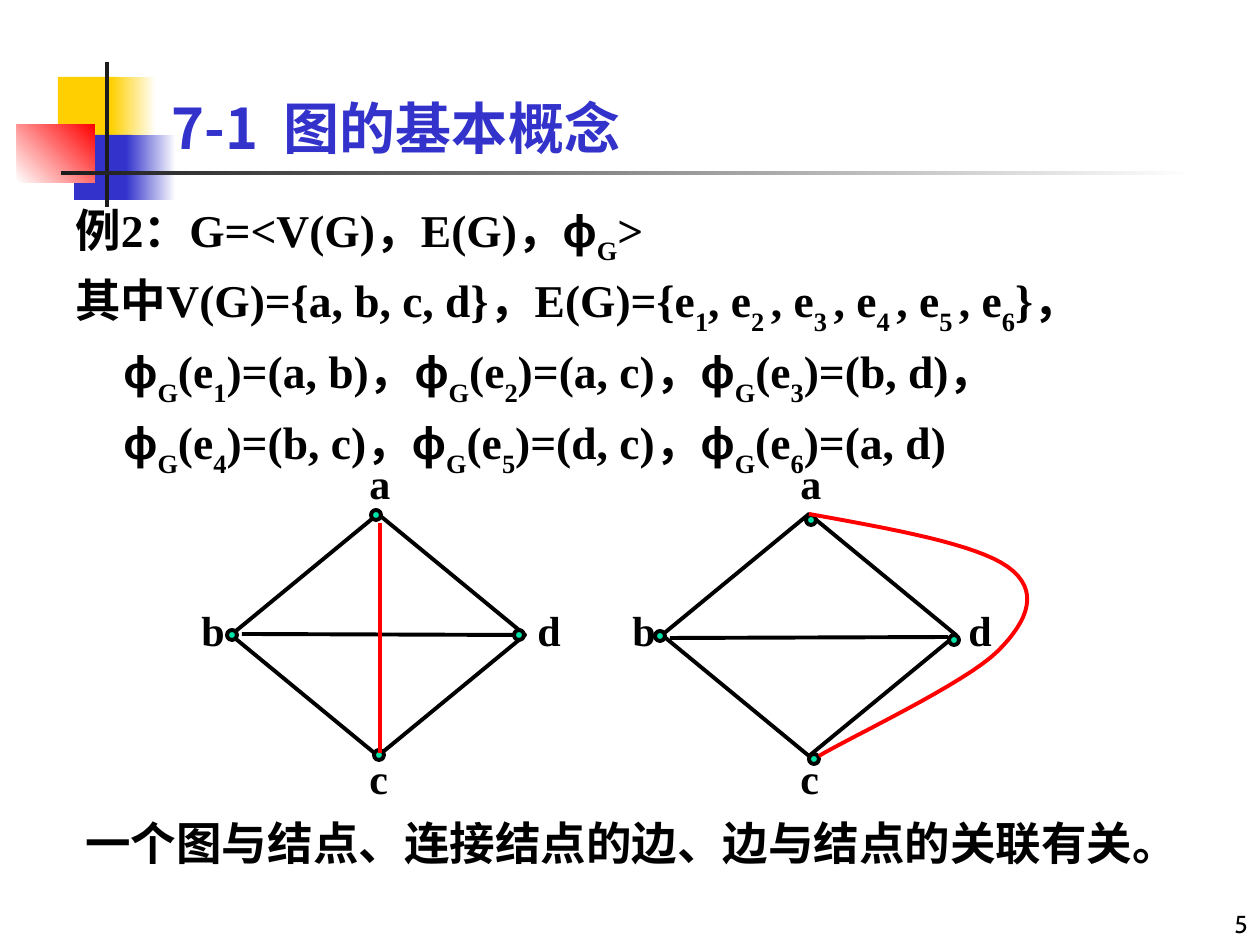
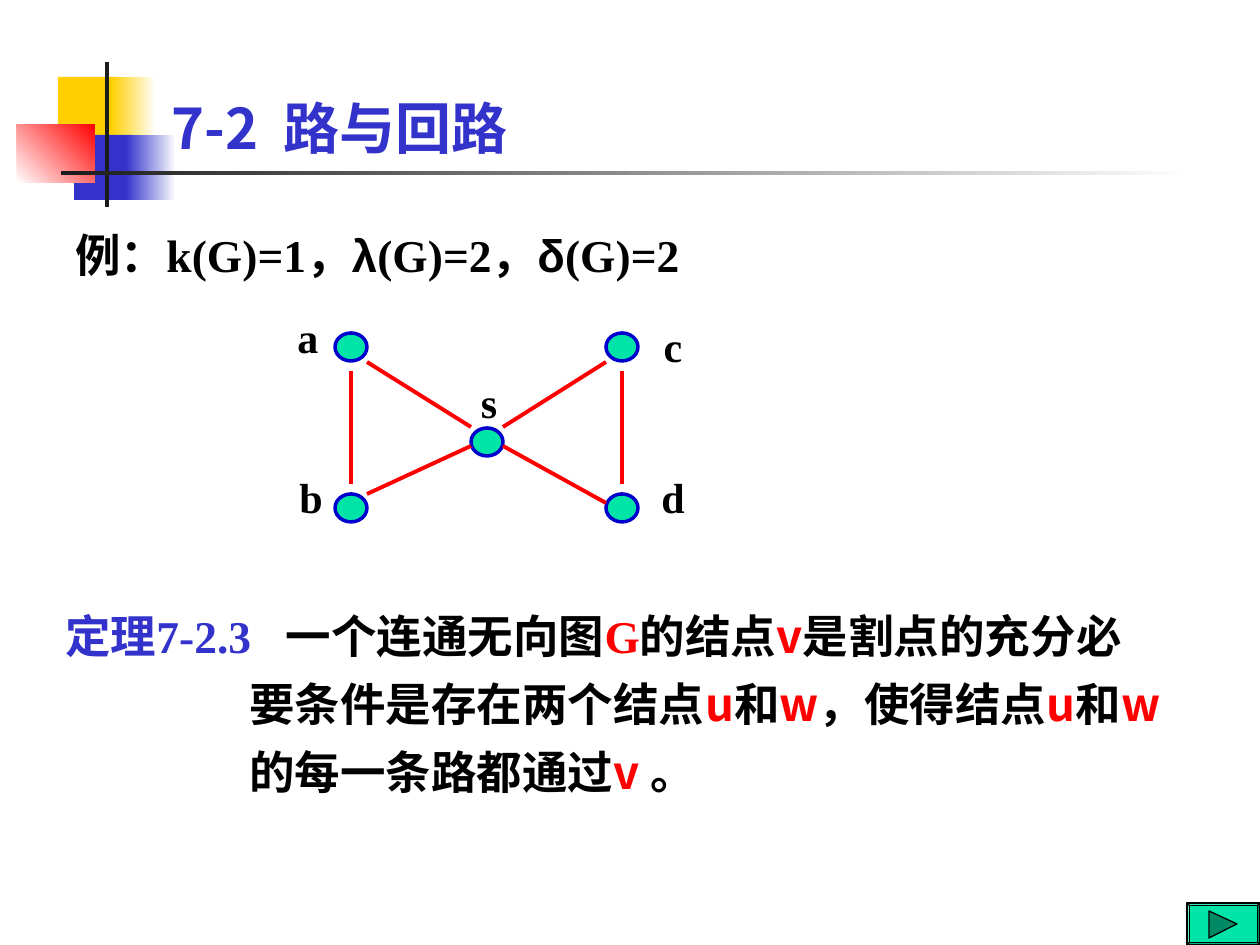
from dataclasses import dataclass

from lxml.etree import SubElement
from pptx import Presentation
from pptx.dml.color import RGBColor
from pptx.enum.shapes import MSO_CONNECTOR, MSO_SHAPE as SHAPE
from pptx.enum.text import MSO_ANCHOR as ANCHOR, PP_ALIGN as ALIGN
from pptx.oxml.ns import qn
from pptx.util import Emu, Pt

PX = 914400 / 126  # EMU in one px


@dataclass(frozen=True)
class Theme:
    black: str = "000000"
    white: str = "FFFFFF"
    dark: str = "1C1C1C"
    yellow: str = "FFCF01"
    blue: str = "3333CC"
    red: str = "FF0000"
    node: str = "00E4A8"
    node_edge: str = "0000CC"
    arrow: str = "008965"
    serif: str = "Times New Roman"
    sans: str = "Noto Sans CJK SC"
    greek: str = "Arial"
    plain: str = "Cabin"
    title_size: int = 32
    body_size: int = 26
    label_size: int = 24
    number_size: int = 14
    line: float = 2.25


T = Theme()

# run style: font, colour, baseline shift in percent
STYLES = {
    "text": (T.serif, T.black, 0),
    "sub": (T.serif, T.black, -30),
    "greek": (T.greek, T.black, 0),
    "plain": (T.plain, T.black, 0),
    "head": (T.serif, T.blue, 0),
    "title": (T.sans, T.blue, 0),
    "graph": (T.serif, T.red, 0),
    "vertex": (T.sans, T.red, 0),
}

# box, colour at the start, colour at the end, counter-clockwise angle
BANDS = [
    ((58, 77, 60, 65), T.yellow, T.yellow, 0),
    ((111, 77, 45, 65), T.yellow, T.white, 0),
    ((74, 135, 58, 65), T.blue, T.blue, 0),
    ((126, 135, 50, 65), T.blue, T.white, 0),
    ((17, 124, 78, 59), T.white, T.red, 45),
    ((105, 62, 4, 145), T.dark, T.dark, 0),
    ((61, 171, 1134, 4), T.dark, T.white, 0),
]
TITLE_BOX = (159, 10, 1074, 157)
NUMBER_BOX = (998, 882, 262, 63)

# Slide 1: one graph drawn in two ways
INCIDENCE = ["a, b", "a, c", "b, d", "b, c", "d, c", "a, d"]
DEFINITION = [("例2：G=<V(G)，E(G)，", "text"), ("ϕ", "greek"), ("G", "sub"), (">", "text")]
CONCLUSION = [("一个图与结点、连接结点的边、边与结点的关联有关。", "plain")]
DIAMOND_SIZE = (294, 242)
DIAMOND_LABELS = {"a": (126, -63), "b": (-42, 84), "c": (126, 232), "d": (294, 84)}
DRAWINGS = [
    {"corner": (231, 514), "nodes": [(376, 515), (232, 635), (379, 755), (519, 635)],
     "bd": (242, 634, 514, 635)},
    {"corner": (662, 514), "nodes": [(811, 520), (660, 636), (814, 759), (954, 640)],
     "bd": (670, 638, 948, 637)},
]
AC_LINE = (380, 523, 380, 753)
AC_CURVE = [
    ((809, 514), (892, 529), (976, 544), (1008, 567)),
    ((1008, 567), (1040, 590), (1029, 620), (998, 651)),
    ((998, 651), (966, 683), (849, 738), (819, 756)),
]

# Slide 2: two triangles meeting in s
CONNECTIVITY = [("例：k(G)=1，", "text"), ("λ", "greek"), ("(G)=2，", "text"),
                ("δ", "greek"), ("(G)=2", "text")]
CUT_NODES = [(351, 347), (351, 508), (622, 347), (622, 508), (487, 442)]
CUT_LABELS = {"a": (273, 305), "b": (276, 465), "c": (638, 314), "d": (638, 465), "s": (454, 370)}
CUT_EDGES = [
    (351, 371, 351, 484), (622, 371, 622, 484),
    (367, 362, 471, 427), (503, 446, 606, 503),
    (367, 494, 471, 446), (503, 427, 606, 362),
]
THEOREM = [
    ("定理7-2.3   ", "head"), ("一个连通无向图", "text"), ("G", "graph"), ("的结点", "text"),
    ("v", "vertex"), ("是割点的充分必要条件是存在两个结点", "text"), ("u", "vertex"),
    ("和", "text"), ("w", "vertex"), ("，使得结点", "text"), ("u", "vertex"),
    ("和", "text"), ("w", "vertex"), ("的每一条路都通过", "text"), ("v ", "vertex"), ("。", "text"),
]
BUTTON_BOX = (1187, 903, 73, 42)
BUTTON_ARROW = [(1209, 911), (1237, 924), (1209, 938)]


def px(*values):
    return [Emu(round(v * PX)) for v in values]


def rgb(colour):
    return RGBColor.from_string(colour)


def edge_runs():
    """Runs that list the vertices, the edges and the end points of each edge."""
    runs = [("其中V(G)={a, b, c, d}，E(G)={e", "text")]
    last = len(INCIDENCE)
    for i in range(1, last + 1):
        if i > 1:
            runs.append((", e", "text"))
        runs.append((f"{i} " if 1 < i < last else str(i), "sub"))
    runs.append(("}，", "text"))
    for i, ends in enumerate(INCIDENCE, 1):
        comma = "，" if i < last else ""
        runs += [("ϕ", "greek"), ("G", "sub"), ("(e", "text"), (str(i), "sub"),
                 (f")=({ends}){comma}", "text")]
    return runs


def add_runs(p, runs, size, bold=True):
    for text, style in runs:
        font, colour, shift = STYLES[style]
        r = p.add_run()
        r.text = text
        r.font.name, r.font.size, r.font.bold = font, Pt(size), bold
        r.font.color.rgb = rgb(colour)
        rPr = r.font._element
        east_asian = T.sans if font == T.sans else T.plain
        SubElement(rPr, qn("a:ea")).set("typeface", east_asian)
        if shift:
            rPr.set("baseline", str(shift * 1000))


def add_text(s, box, paragraphs, size=T.body_size, align=ALIGN.LEFT, anchor=ANCHOR.TOP,
             spacing=None, hang=0, bold=True):
    tf = s.shapes.add_textbox(*px(*box)).text_frame
    tf.word_wrap, tf.vertical_anchor = True, anchor
    for i, runs in enumerate(paragraphs):
        p = tf.add_paragraph() if i else tf.paragraphs[0]
        p.alignment = align
        if spacing:
            p.line_spacing = spacing
        if hang:
            indent = px(hang)[0]
            pPr = p._p.get_or_add_pPr()
            pPr.set("marL", str(indent))
            pPr.set("indent", str(-indent))
        add_runs(p, runs, size, bold)


def paint(sp, fill=None, line=None, width=T.line):
    sp.shadow.inherit = False
    if fill:
        sp.fill.solid()
        sp.fill.fore_color.rgb = rgb(fill)
    else:
        sp.fill.background()
    if line:
        sp.line.color.rgb, sp.line.width = rgb(line), Pt(width)
    else:
        sp.line.fill.background()
    return sp


def add_shape(s, kind, box, *style):
    return paint(s.shapes.add_shape(kind, *px(*box)), *style)


def add_nodes(s, centres, w, h, *line):
    for x, y in centres:
        add_shape(s, SHAPE.OVAL, (x - w / 2, y - h / 2, w, h), T.node, *line)


def add_line(s, ends, colour):
    line = s.shapes.add_connector(MSO_CONNECTOR.STRAIGHT, *px(*ends))
    line.line.color.rgb, line.line.width = rgb(colour), Pt(T.line)
    SubElement(line.element.spPr, qn("a:effectLst"))


def add_outline(s, points, close, *style):
    first, *rest = [px(*point) for point in points]
    builder = s.shapes.build_freeform(*first)
    builder.add_line_segments(rest, close=close)
    return paint(builder.convert_to_shape(), *style)


def bezier_points(segments, steps=16):
    points = [segments[0][0]]
    for segment in segments:
        for i in range(1, steps + 1):
            t = i / steps
            weights = ((1 - t) ** 3, 3 * t * (1 - t) ** 2, 3 * t * t * (1 - t), t ** 3)
            points.append([sum(w * c for w, c in zip(weights, axis)) for axis in zip(*segment)])
    return points


def move_bands_to_layout(s):
    """Draw the bands on s, then hand them to its layout, which all slides share."""
    for box, start, end, angle in BANDS:
        sp = add_shape(s, SHAPE.RECTANGLE, box, start)
        if start != end:
            sp.fill.gradient()
            sp.fill.gradient_angle = angle
            for stop, colour in zip(sp.fill.gradient_stops, (start, end)):
                stop.color.rgb = rgb(colour)
        s.slide_layout.shapes.element.append(sp.element)


def add_slide(prs, title):
    s = prs.slides.add_slide(prs.slide_layouts[5])
    sp = s.shapes.title
    sp.left, sp.top, sp.width, sp.height = px(*TITLE_BOX)
    sp.text_frame.vertical_anchor = ANCHOR.BOTTOM
    p = sp.text_frame.paragraphs[0]
    p.alignment = ALIGN.LEFT
    add_runs(p, [(title, "title")], T.title_size)
    return s


def add_labels(s, labels, width, align, origin=(0, 0)):
    for name, (x, y) in labels.items():
        box = (origin[0] + x, origin[1] + y, width, 63)
        add_text(s, box, [[(name, "text")]], T.label_size, align)


def build_concepts(s):
    add_text(s, NUMBER_BOX, [[("5", "plain")]], T.number_size, ALIGN.RIGHT, ANCHOR.BOTTOM,
             bold=False)
    add_text(s, (63, 189, 1081, 305), [DEFINITION, edge_runs()], spacing=1.1, hang=48)
    for drawing in DRAWINGS:
        corner = drawing["corner"]
        add_shape(s, SHAPE.DIAMOND, (*corner, *DIAMOND_SIZE), T.white, T.black)
        add_nodes(s, drawing["nodes"], 10, 10, T.black)
        add_line(s, drawing["bd"], T.black)
        add_labels(s, DIAMOND_LABELS, 53, ALIGN.LEFT, corner)
    add_line(s, AC_LINE, T.red)
    add_outline(s, bezier_points(AC_CURVE), False, None, T.red)
    add_text(s, (73, 809, 1103, 68), [CONCLUSION])


def build_paths(s):
    add_text(s, (63, 221, 1071, 567), [CONNECTIVITY], hang=48)
    add_nodes(s, CUT_NODES, 32, 28, T.node_edge, 2)
    add_labels(s, CUT_LABELS, 70, ALIGN.CENTER)
    for ends in CUT_EDGES:
        add_line(s, ends, T.red)
    add_text(s, (53, 588, 1124, 221), [THEOREM], spacing=1.25, hang=184)
    button = add_shape(s, SHAPE.BEVEL, BUTTON_BOX, T.node, T.black, 0.75)
    button.adjustments[0] = 0.06
    add_outline(s, BUTTON_ARROW, True, T.arrow, T.black, 0.75)


def main():
    prs = Presentation()
    prs.slide_width, prs.slide_height = px(1260, 945)
    concepts = add_slide(prs, "7-1  图的基本概念")
    move_bands_to_layout(concepts)
    build_concepts(concepts)
    build_paths(add_slide(prs, "7-2  路与回路"))
    prs.save("out.pptx")


if __name__ == "__main__":
    main()
